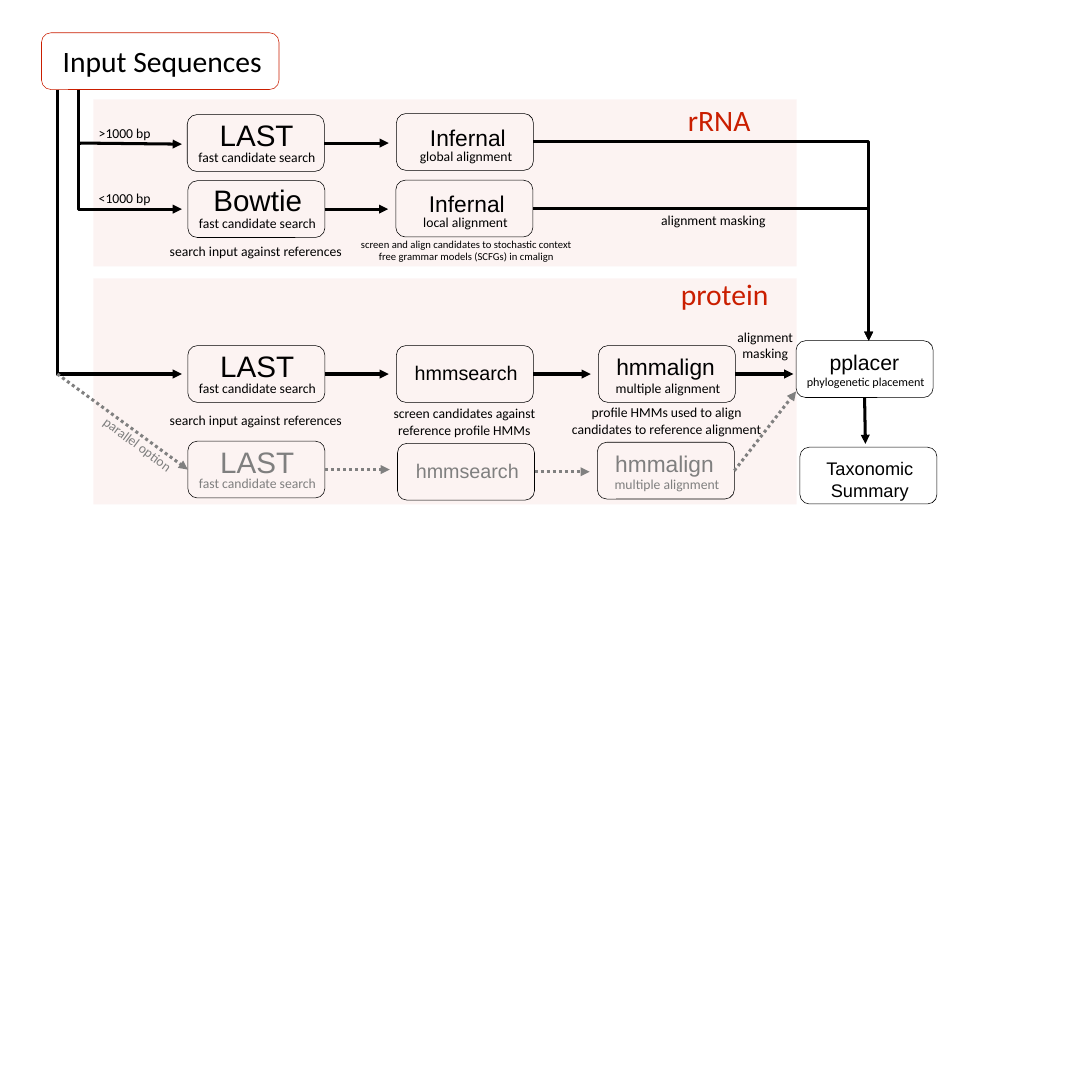
from dataclasses import dataclass

from lxml.etree import SubElement
from pptx import Presentation
from pptx.dml.color import RGBColor
from pptx.enum.dml import MSO_LINE
from pptx.enum.shapes import MSO_CONNECTOR, MSO_SHAPE
from pptx.enum.text import MSO_AUTO_SIZE, PP_ALIGN
from pptx.oxml.ns import qn
from pptx.util import Inches, Pt


@dataclass(frozen=True)
class Theme:
    ink: str = "000000"
    muted: str = "7F7F7F"
    muted_line: str = "808080"
    accent: str = "CA1E00"
    panel_alpha: int = 5000
    tool_font: str = "Arial"
    note_font: str = "Calibri"
    heading: int = 39
    note: int = 18
    small_note: int = 16
    fine_note: int = 14
    outline: float = 0.75
    flow: int = 4


@dataclass(frozen=True)
class Tool:
    name: str
    size: int
    indent: float
    drop: float
    caption: str = ""
    caption_size: int = 18


THEME = Theme()
SLIDE = Inches(20)
GRID = 20
BOX_W, BOX_H = 2.51, 1.04
TITLE_W, CAPTION_W, CAPTION_DROP = 2.22, 2.89, 0.57
ARROW_GAP = 0.14
LONG_TRUNK, SHORT_TRUNK, ENTRY = 1.05, 1.44, 3.33

LAST = Tool("LAST", 39, 0.16, 0, "fast candidate search")
BOWTIE = Tool("Bowtie", 39, 0.17, -0.03, "fast candidate search")
INFERNAL_GLOBAL = Tool("Infernal", 30, 0.2, 0.14, "global alignment")
INFERNAL_LOCAL = Tool("Infernal", 30, 0.19, 0.13, "local alignment")
HMMSEARCH = Tool("hmmsearch", 26, 0.17, 0.23)
HMMALIGN = Tool("hmmalign", 30, 0.12, 0.09, "multiple alignment")
PPLACER = Tool("pplacer", 28, 0.14, 0.1, "phylogenetic placement", THEME.small_note)
SUMMARY = Tool("Taxonomic Summary", 24, 0.17, 0.14)


def cell(units):
    return round(SLIDE * units / GRID)


def add_block(slide, kind, col, row, cols, rows):
    block = slide.shapes.add_shape(kind, cell(col), cell(row), cell(cols), cell(rows))
    block.shadow.inherit = False
    return block


def add_panel(slide, row, rows):
    panel = add_block(slide, MSO_SHAPE.RECTANGLE, 1.71, row, 12.88, rows)
    panel.fill.solid()
    panel.fill.fore_color.rgb = RGBColor.from_string(THEME.accent)
    tint = panel._element.spPr.find(qn("a:solidFill")).find(qn("a:srgbClr"))
    SubElement(tint, qn("a:alpha"), val=str(THEME.panel_alpha))
    panel.line.fill.background()


def add_box(slide, col, row, cols=BOX_W, color=THEME.ink):
    box = add_block(slide, MSO_SHAPE.ROUNDED_RECTANGLE, col, row, cols, BOX_H)
    box.fill.background()
    box.line.color.rgb = RGBColor.from_string(color)
    box.line.width = Pt(THEME.outline)
    return box


def add_label(slide, text, col, row, cols, size=THEME.note, color=THEME.ink,
              font=THEME.note_font, align=PP_ALIGN.CENTER, lines=1):
    rows = lines * size * 1.22 / 72 + 0.1
    label = slide.shapes.add_textbox(cell(col), cell(row), cell(cols), cell(rows))
    frame = label.text_frame
    frame.word_wrap = True
    frame.auto_size = MSO_AUTO_SIZE.SHAPE_TO_FIT_TEXT
    frame.text = text
    for paragraph in frame.paragraphs:
        paragraph.alignment = align
        paragraph.font.name = font
        paragraph.font.size = Pt(size)
        paragraph.font.color.rgb = RGBColor.from_string(color)
    return label


def add_step(slide, tool, col, row, color=THEME.ink):
    box = add_box(slide, col, row)
    add_label(slide, tool.name, col + tool.indent, row + tool.drop, TITLE_W,
              tool.size, color, THEME.tool_font, lines=len(tool.name.split()))
    if tool.caption:
        add_label(slide, tool.caption, col + (BOX_W - CAPTION_W) / 2 + 0.02,
                  row + CAPTION_DROP, CAPTION_W, tool.caption_size, color)
    return box


def add_flow(slide, start, end, source=None, target=None, side=3,
             dotted=False, arrow=True, kind=MSO_CONNECTOR.STRAIGHT):
    flow = slide.shapes.add_connector(kind, *map(cell, start + end))
    if source is not None:
        flow.begin_connect(source, side)
    if target is not None:
        flow.end_connect(target, 1)
    flow.line.width = Pt(THEME.flow)
    flow.line.color.rgb = RGBColor.from_string(THEME.muted_line if dotted else THEME.ink)
    if dotted:
        flow.line.dash_style = MSO_LINE.ROUND_DOT
    properties = flow._element.spPr
    if arrow:
        SubElement(properties.find(qn("a:ln")), qn("a:tailEnd"), type="triangle")
    SubElement(properties, qn("a:effectLst"))
    return flow


def add_bend(slide, start, end, preset, bend=None):
    flow = add_flow(slide, start, end, kind=MSO_CONNECTOR.ELBOW)
    geometry = flow._element.spPr.find(qn("a:prstGeom"))
    geometry.set("prst", preset)
    if bend is not None:
        SubElement(geometry.find(qn("a:avLst")), qn("a:gd"),
                   name="adj1", fmla=f"val {bend}")


def add_chain(slide, steps, color=THEME.ink, dotted=False):
    boxes = [add_step(slide, tool, col, row, color) for tool, col, row in steps]
    for source, (_, col, row), (_, next_col, _) in zip(boxes, steps, steps[1:]):
        middle = row + BOX_H / 2
        add_flow(slide, (col + BOX_W, middle), (next_col - ARROW_GAP, middle),
                 source, dotted=dotted)
    return boxes


def add_notes(slide):
    add_label(slide, "rRNA", 12.5, 1.82, 1.5, THEME.heading, THEME.accent,
              align=PP_ALIGN.LEFT)
    add_label(slide, "protein", 12.37, 5, 1.88, THEME.heading, THEME.accent,
              align=PP_ALIGN.LEFT)
    for text, col, row, cols in (
        (">1000 bp", 1.71, 2.24, 1.43),
        ("<1000 bp", 1.71, 3.42, 1.43),
        ("alignment masking", 12.01, 3.83, 2.51),
    ):
        add_label(slide, text, col, row, cols, align=PP_ALIGN.LEFT)
    for row in (4.4, 7.49):
        add_label(slide, "search input against references", 2.83, row, 3.71)
    for text, col, row, cols, size in (
        ("alignment\nmasking", 13.31, 5.97, 1.41, THEME.note),
        ("screen and align candidates to stochastic context free grammar models "
         "(SCFGs) in cmalign", 6.42, 4.3, 4.24, THEME.fine_note),
        ("screen candidates against reference profile HMMs",
         6.65, 7.37, 3.71, THEME.note),
        ("profile HMMs used to align candidates to reference alignment",
         10.32, 7.35, 3.78, THEME.note),
    ):
        add_label(slide, text, col, row, cols, size, lines=2)
    parallel = add_label(slide, "parallel option", 1.67, 7.99, 1.86,
                         color=THEME.muted, align=PP_ALIGN.LEFT)
    parallel.rotation = 36.7


def main():
    deck = Presentation()
    deck.slide_width = deck.slide_height = SLIDE
    slide = deck.slides.add_slide(deck.slide_layouts[6])

    add_panel(slide, 5.1, 4.14)
    add_panel(slide, 1.82, 3.06)
    add_box(slide, 0.76, 0.6, 4.35, THEME.accent)
    add_label(slide, "Input Sequences", 1.05, 0.74, 3.85, THEME.heading,
              align=PP_ALIGN.LEFT)

    add_chain(slide, [(LAST, 3.43, 2.1), (INFERNAL_GLOBAL, 7.26, 2.08)])
    add_chain(slide, [(BOWTIE, 3.44, 3.31), (INFERNAL_LOCAL, 7.25, 3.3)])
    *_, aligned = add_chain(
        slide, [(LAST, 3.44, 6.33), (HMMSEARCH, 7.26, 6.33), (HMMALIGN, 10.96, 6.33)])
    parallel_last, _, parallel_aligned = add_chain(
        slide, [(LAST, 3.44, 8.08), (HMMSEARCH, 7.28, 8.12), (HMMALIGN, 10.94, 8.1)],
        THEME.muted, dotted=True)
    placement = add_step(slide, PPLACER, 14.58, 6.24)
    add_step(slide, SUMMARY, 14.65, 8.19)

    add_flow(slide, (SHORT_TRUNK, 1.64), (SHORT_TRUNK, 3.08), arrow=False)
    add_flow(slide, (SHORT_TRUNK, 2.62), (ENTRY, 2.64))
    add_bend(slide, (1.49, 2.62), (ENTRY, 3.83), "bentConnector3", -2600)
    add_bend(slide, (LONG_TRUNK, 1.64), (ENTRY, 6.85), "bentConnector3", 0)
    for row in (2.6, 3.82):
        add_bend(slide, (9.77, row), (15.91, 6.24), "bentConnector2")
    add_flow(slide, (13.47, 6.85), (14.53, 6.85), aligned)
    add_flow(slide, (15.85, 7.28), (15.85, 8.13), placement, side=2)
    add_flow(slide, (13.45, 8.62), (14.58, 7.17), parallel_aligned, dotted=True)
    add_flow(slide, (LONG_TRUNK, 6.85), (3.44, 8.6), target=parallel_last, dotted=True)

    add_notes(slide)
    deck.save("out.pptx")


if __name__ == "__main__":
    main()
